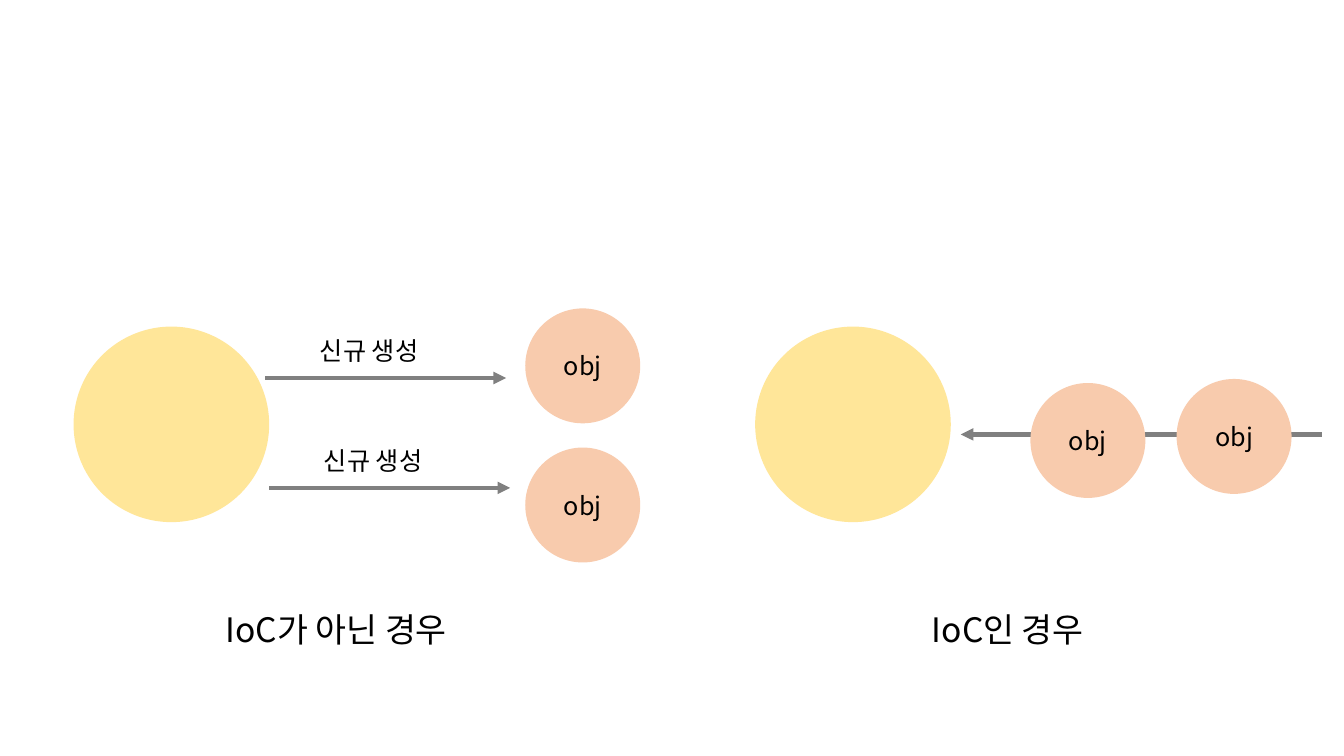
from pptx import Presentation
from pptx.dml.color import RGBColor as RGB
from pptx.enum.shapes import MSO_CONNECTOR as CONN, MSO_SHAPE as SHAPE
from pptx.enum.text import MSO_ANCHOR as ANCHOR, PP_ALIGN as ALIGN
from pptx.oxml.ns import qn
from pptx.util import Inches, Pt
from lxml.etree import SubElement as Sub

FONT = "Noto Sans CJK KR"
BLACK = RGB(0x00, 0x00, 0x00)
GRAY = RGB(0x80, 0x80, 0x80)
YELLOW = RGB(0xFF, 0xE6, 0x99)
PEACH = RGB(0xF8, 0xCB, 0xAD)
BIG, SMALL = 1.94, 1.14


def write(shape, text, size):
    """Put one centred line of text into a shape."""
    para = shape.text_frame.paragraphs[0]
    para.alignment = ALIGN.CENTER
    run = para.add_run()
    run.text = text
    look = {"name": FONT, "size": Pt(size)}
    for key, value in look.items():
        setattr(run.font, key, value)
    run.font.color.rgb = BLACK
    Sub(run.font._element, qn("a:ea"), typeface=FONT)


def label(shapes, text, left, top, width, height, size):
    """Add a wrapped text box."""
    box = shapes.add_textbox(*map(Inches, (left, top, width, height)))
    box.text_frame.word_wrap = True
    write(box, text, size)


def circle(shapes, left, top, size, color, text=""):
    """Add a plain filled circle, with text if given."""
    disc = shapes.add_shape(SHAPE.OVAL, *map(Inches, (left, top, size, size)))
    disc.shadow.inherit = False
    disc.fill.solid()
    disc.fill.fore_color.rgb = color
    disc.line.fill.background()
    disc.text_frame.vertical_anchor = ANCHOR.MIDDLE
    if text:
        write(disc, text, 18)


def arrow(shapes, start, end, y):
    """Add a level arrow that points at its end."""
    line = shapes.add_connector(CONN.STRAIGHT, *map(Inches, (start, y, end, y)))
    line.line.color.rgb = GRAY
    line.line.width = Pt(3)
    Sub(line.line._get_or_add_ln(), qn("a:tailEnd"), type="triangle")
    Sub(line._element.spPr, qn("a:effectLst"))


def create(shapes, left, y):
    """Add a grouped arrow with its label above."""
    group = shapes.add_group_shape().shapes
    arrow(group, left, left + 2.39, y)
    label(group, "신규 생성", left - 0.24, y - 0.47, 2.54, 0.4, 18)


def main():
    """Build and save the slide."""
    deck = Presentation()
    deck.slide_width, deck.slide_height = Inches(13.33), Inches(7.5)
    shapes = deck.slides.add_slide(deck.slide_layouts[6]).shapes

    for left, text in ((0.73, "IoC가 아닌 경우"), (7.39, "IoC인 경우")):
        label(shapes, text, left, 5.99, 5.21, 0.5, 24)
    for left in (0.73, 7.49):
        circle(shapes, left, 3.24, BIG, YELLOW)
    for left, y in ((2.63, 3.75), (2.67, 4.84)):
        create(shapes, left, y)
    arrow(shapes, 13.11, 9.53, 4.31)
    for left, top in ((5.21, 4.44), (5.21, 3.06), (11.67, 3.76), (10.22, 3.8)):
        circle(shapes, left, top, SMALL, PEACH, "obj")

    deck.save("out.pptx")


main()
